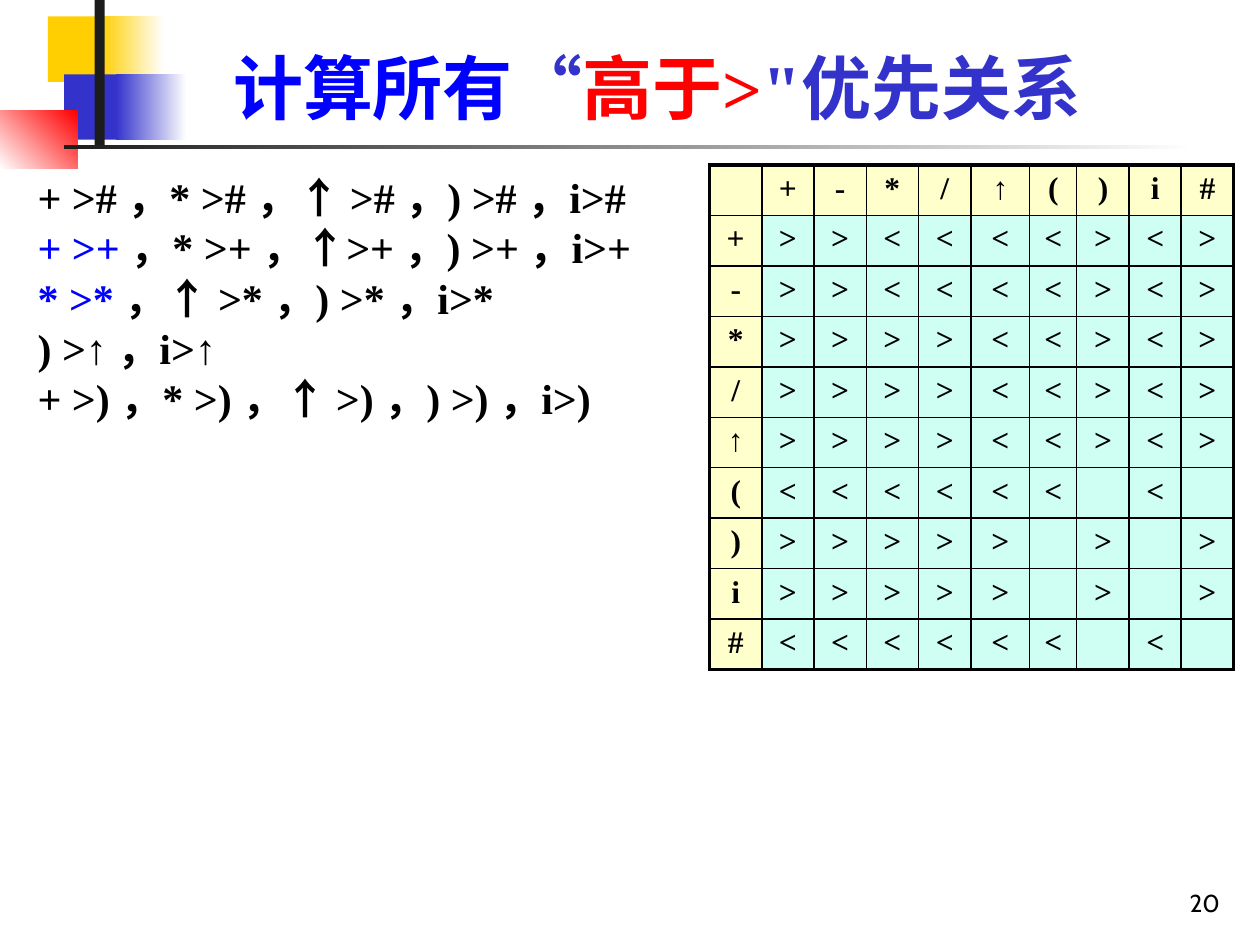
from dataclasses import dataclass

from lxml.etree import SubElement
from pptx import Presentation
from pptx.dml.color import RGBColor
from pptx.enum.shapes import MSO_SHAPE as Preset
from pptx.enum.text import MSO_ANCHOR as Anchor, PP_ALIGN as Align
from pptx.oxml.ns import qn
from pptx.util import Pt


@dataclass(frozen=True)
class Theme:
    yellow: str = "FFCF01"
    indigo: str = "3333CC"
    blue: str = "0000FF"
    red: str = "FF0000"
    white: str = "FFFFFF"
    charcoal: str = "1C1C1C"
    black: str = "000000"
    header: str = "FFFFCC"
    body: str = "CFFFF2"
    serif: str = "Times New Roman"
    quote: str = "Courier New"
    number: str = "Cabin"
    title_size: float = 40
    body_size: float = 24
    body_leading: float = 28.8
    table_size: float = 18
    number_size: float = 14
    thin: float = 1
    thick: float = 2.25


THEME = Theme()

# left, top, width, height, colours (two make a gradient), angle
DECORATION = [
    (27.4, 9.4, 48.2, 37.4, [THEME.yellow], 0),
    (57.6, 9.4, 36, 37.4, [THEME.yellow, THEME.white], 0),
    (36.7, 42.5, 46.1, 37.4, [THEME.indigo], 0),
    (66.2, 42.5, 40.3, 37.4, [THEME.indigo, THEME.white], 0),
    (0, 63.4, 44.2, 33.1, [THEME.white, THEME.red], 45),
    (54, 0, 5.8, 82.8, [THEME.charcoal], 0),
    (36.7, 82.8, 648, 2.2, [THEME.charcoal, THEME.white], 0),
]

TITLE = [
    ("计算所有", {"color": THEME.blue}),
    ("“", {"color": THEME.indigo, "font": THEME.quote}),
    ("高于>", {"color": THEME.red}),
    ("\"优先关系", {"color": THEME.indigo}),
]

# blue lead, black remainder
RELATIONS = [
    ("", "+ ># ，* ># ，↑ ># ，) ># ，i>#"),
    ("+ >+ ", "，* >+ ，↑>+ ，) >+ ，i>+"),
    ("* >* ", "，↑ >* ，) >* ，i>*"),
    ("", ") >↑ ，i>↑"),
    ("", "+ >) ，* >) ，↑ >) ，) >) ，i>)"),
]

SYMBOLS = "+-*/↑()i#"
PRECEDENCE = [
    ">><<<<><>",
    ">><<<<><>",
    ">>>><<><>",
    ">>>><<><>",
    ">>>><<><>",
    "<<<<<< < ",
    ">>>>> > >",
    ">>>>> > >",
    "<<<<<< < ",
]
COLUMN_WIDTHS = [30, 29.7, 30, 29.7, 30.2, 33.5, 26.9, 30, 29.7, 30]
ROW_HEIGHT = 27.3


def add_span(para, text, *, size, color=THEME.black, font=THEME.serif, bold=True):
    span = para.add_run()
    span.text = text
    span.font.size = Pt(size)
    span.font.name = font
    span.font.bold = bold
    span.font.color.rgb = RGBColor.from_string(color)


def add_border(cell, side, width):
    line = SubElement(cell._tc.get_or_add_tcPr(), qn(f"a:ln{side}"), w=str(Pt(width)))
    fill = SubElement(line, qn("a:solidFill"))
    SubElement(fill, qn("a:srgbClr"), val=THEME.black)


class SlideBuilder:
    def __init__(self, deck, theme):
        self.theme = theme
        self.page = deck.slides.add_slide(deck.slide_layouts[6])

    def block(self, left, top, width, height, colors, angle):
        shape = self.page.shapes.add_shape(
            Preset.RECTANGLE, Pt(left), Pt(top), Pt(width), Pt(height))
        shape.shadow.inherit = False
        shape.line.fill.background()
        if len(colors) == 1:
            shape.fill.solid()
            shape.fill.fore_color.rgb = RGBColor.from_string(colors[0])
            return
        shape.fill.gradient()
        shape.fill.gradient_angle = angle
        for stop, color in zip(shape.fill.gradient_stops, colors):
            stop.color.rgb = RGBColor.from_string(color)

    def text(self, left, top, width, height, paragraphs, *, size, align,
             anchor=Anchor.TOP, hanging=0, leading=None):
        """Add a box; each paragraph is a list of (text, format) pairs."""
        box = self.page.shapes.add_textbox(Pt(left), Pt(top), Pt(width), Pt(height))
        frame = box.text_frame
        frame.word_wrap = True
        frame.vertical_anchor = anchor
        for index, spans in enumerate(paragraphs):
            para = frame.add_paragraph() if index else frame.paragraphs[0]
            para.alignment = align
            if hanging:
                properties = para._p.get_or_add_pPr()
                properties.set("marL", str(Pt(hanging)))
                properties.set("indent", str(-Pt(hanging)))
            if leading:
                para.line_spacing = Pt(leading)
            for text, style in spans:
                add_span(para, text, size=size, **style)

    def table(self, left, top, widths, row_height, rows):
        """Add a grid with a header row, a header column and a thick frame."""
        theme = self.theme
        last_row, last_column = len(rows) - 1, len(widths) - 1
        table = self.page.shapes.add_table(
            len(rows), len(widths), Pt(left), Pt(top),
            Pt(sum(widths)), Pt(row_height * len(rows))).table
        table.first_row = table.horz_banding = False
        for column, width in zip(table.columns, widths):
            column.width = Pt(width)
        for r, symbols in enumerate(rows):
            for c, symbol in enumerate(symbols):
                cell = table.cell(r, c)
                edges = {"L": c == 0, "R": c == last_column,
                         "T": r == 0, "B": r == last_row}
                for side, outer in edges.items():
                    add_border(cell, side, theme.thick if outer else theme.thin)
                cell.fill.solid()
                fill = theme.body if r and c else theme.header
                cell.fill.fore_color.rgb = RGBColor.from_string(fill)
                if symbol != " ":
                    para = cell.text_frame.paragraphs[0]
                    para.alignment = Align.CENTER
                    add_span(para, symbol, size=theme.table_size)


def main():
    deck = Presentation()
    deck.slide_width, deck.slide_height = Pt(720), Pt(540)
    builder = SlideBuilder(deck, THEME)

    for block in DECORATION:
        builder.block(*block)
    builder.text(554.4, 491.8, 149.8, 36,
                 [[("20", {"font": THEME.number, "bold": False})]],
                 size=THEME.number_size, align=Align.RIGHT, anchor=Anchor.BOTTOM)
    builder.text(90.7, 16.6, 569.5, 60.5, [TITLE],
                 size=THEME.title_size, align=Align.CENTER, anchor=Anchor.BOTTOM)

    relations = [
        [(text, {"color": color})
         for text, color in ((lead, THEME.blue), (remainder, THEME.black)) if text]
        for lead, remainder in RELATIONS
    ]
    builder.text(14.4, 94.3, 357.1, 394.6, relations, size=THEME.body_size,
                 align=Align.JUSTIFY, hanging=27, leading=THEME.body_leading)

    rows = [" " + SYMBOLS]
    rows += [symbol + line for symbol, line in zip(SYMBOLS, PRECEDENCE)]
    builder.table(405.4, 94.3, COLUMN_WIDTHS, ROW_HEIGHT, rows)

    deck.save("out.pptx")


if __name__ == "__main__":
    main()
